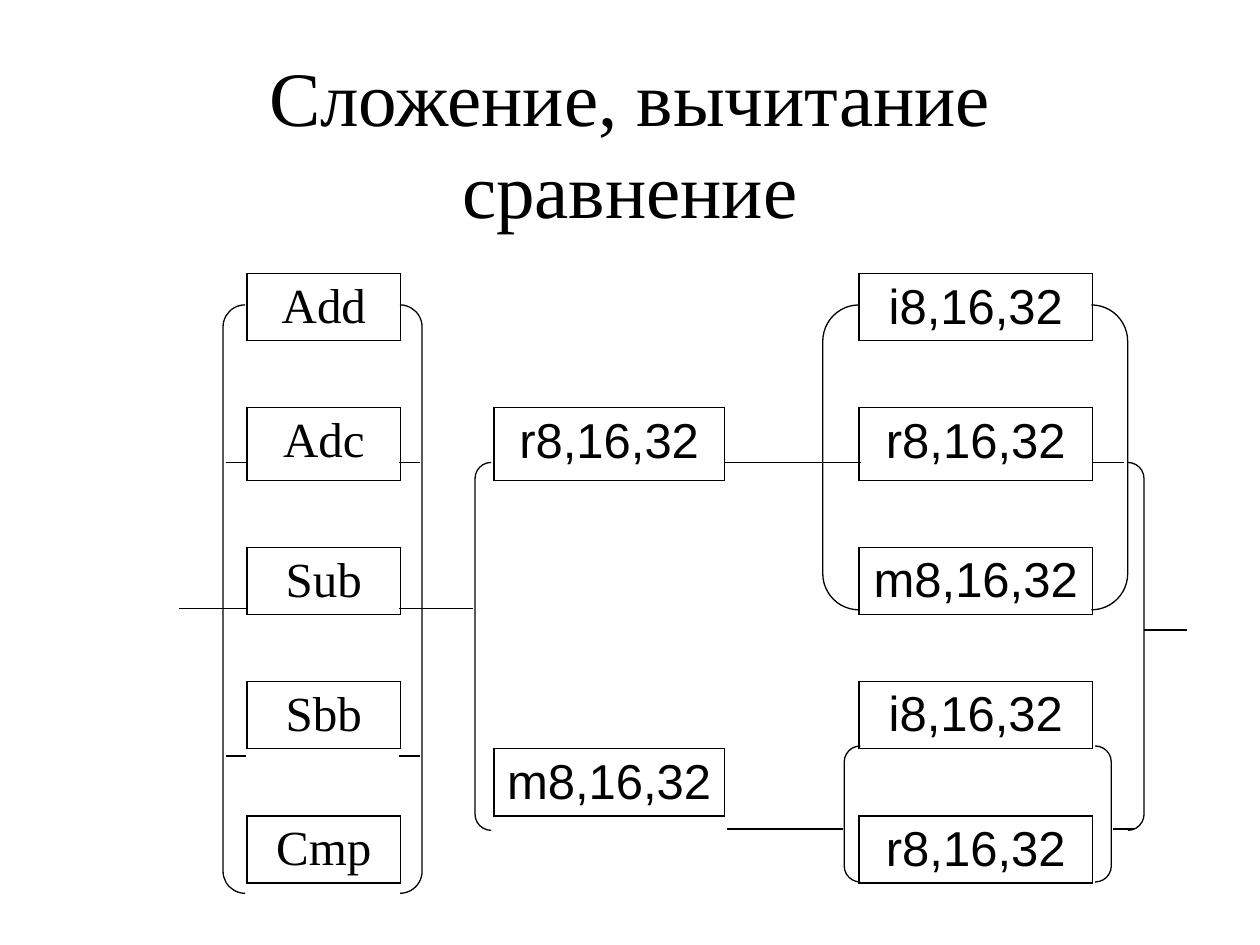
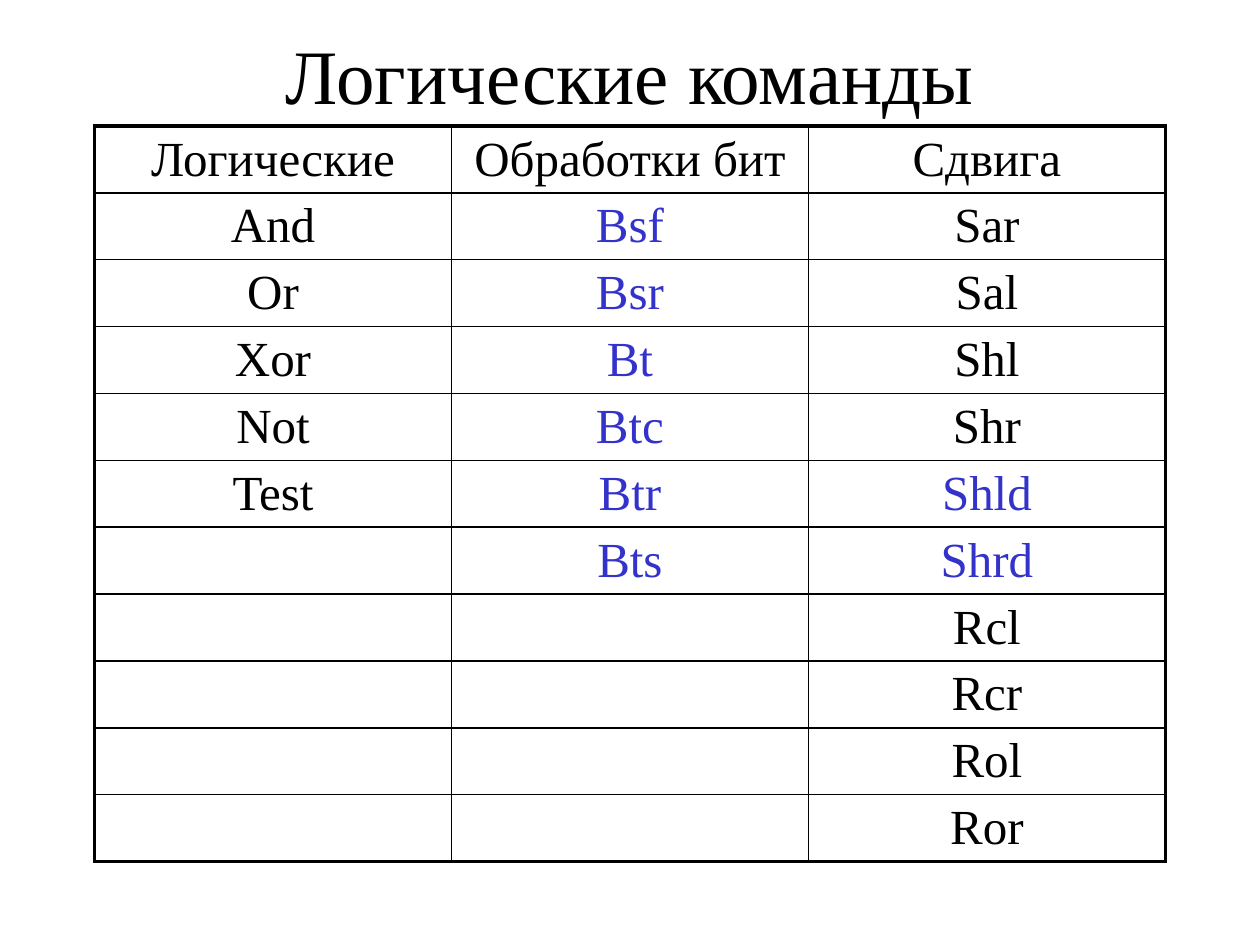
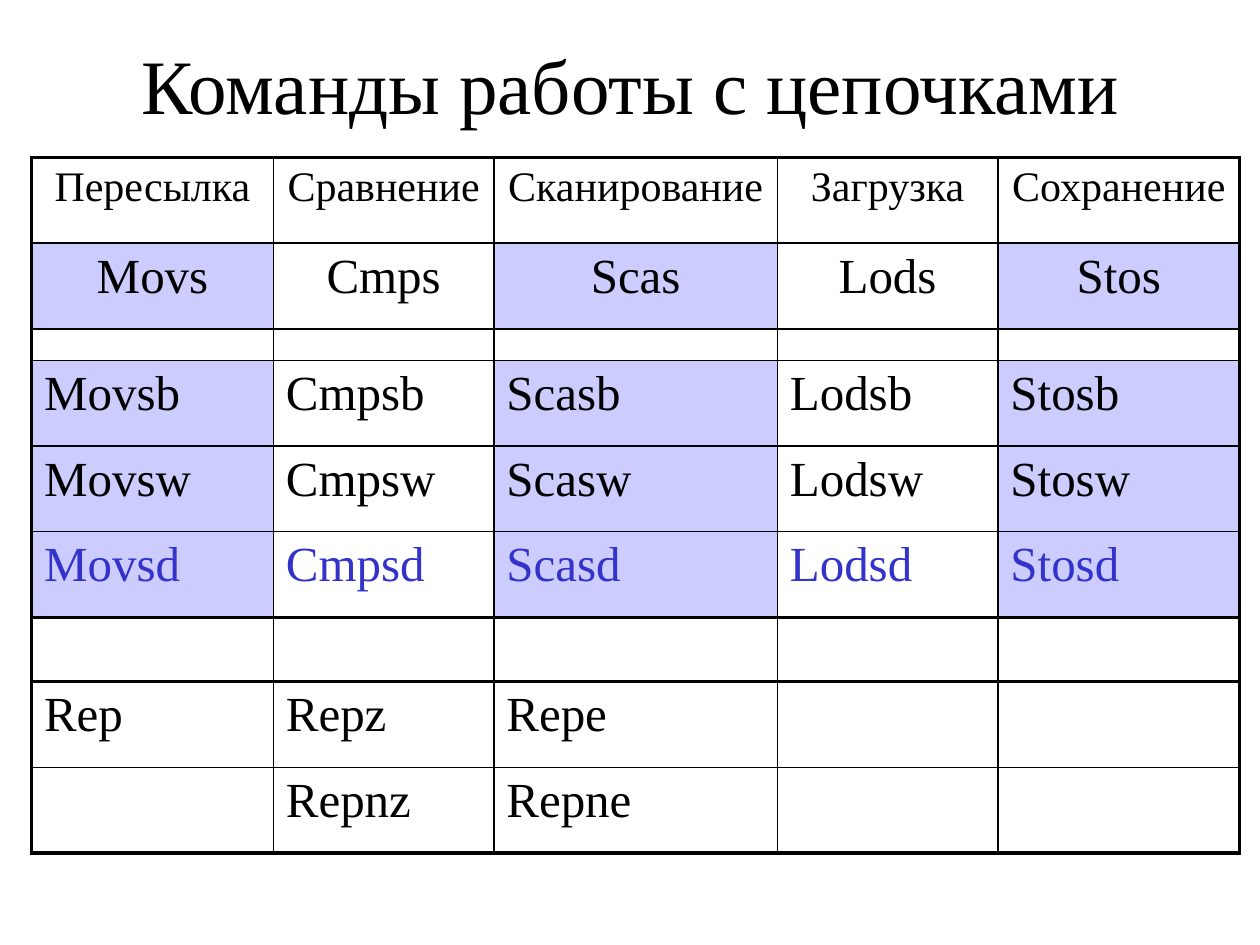
from lxml import etree
from pptx import Presentation
from pptx.dml.color import RGBColor
from pptx.enum import shapes, text
from pptx.oxml import ns
from pptx.util import Inches, Pt

COLORS = {"ink": "000000", "new": "3333CC", "band": "CCCCFF"}
SERIF, SANS = "Times New Roman", "Arial"
THIN, THICK = 1, 2.25
PLAIN_STYLE = "{2D5ABB26-0587-4C30-8999-92F81FD0307C}"

OPERATIONS = ["Add", "Adc", "Sub", "Sbb", "Cmp"]
SOURCES = ["i8,16,32", "r8,16,32", "m8,16,32", "i8,16,32", "r8,16,32"]
DESTINATIONS = {(2, 3): "r8,16,32", (7, 3): "m8,16,32"}

BRACKETS = [
    (1.77, 2.42, 1.58, 4.67, 0.111),
    (6.53, 2.42, 2.42, 2.42, 0.119),
    (6.7, 5.92, 2.12, 1.08, 0.119),
    (3.77, 3.67, 5.31, 2.92, 0.044),
]
WIRES = [
    (5.75, 6.83, 3.67), (5.77, 6.69, 6.58), (8.92, 8.67, 3.67),
    (9, 8.83, 6.58), (3.33, 3.75, 4.83), (1.42, 1.83, 4.83), (9.08, 9.42, 5),
]

LOGIC = [
    ["Логические", "Обработки бит", "Сдвига"],
    ["And", "Bsf", "Sar"],
    ["Or", "Bsr", "Sal"],
    ["Xor", "Bt", "Shl"],
    ["Not", "Btc", "Shr"],
    ["Test", "Btr", "Shld"],
    ["", "Bts", "Shrd"],
    ["", "", "Rcl"],
    ["", "", "Rcr"],
    ["", "", "Rol"],
    ["", "", "Ror"],
]
STRINGS = [
    ["Пересылка", "Сравнение", "Сканирование", "Загрузка", "Сохранение"],
    ["Movs", "Cmps", "Scas", "Lods", "Stos"],
    [""] * 5,
    ["Movsb", "Cmpsb", "Scasb", "Lodsb", "Stosb"],
    ["Movsw", "Cmpsw", "Scasw", "Lodsw", "Stosw"],
    ["Movsd", "Cmpsd", "Scasd", "Lodsd", "Stosd"],
    [""] * 5,
    ["Rep", "Repz", "Repe", "", ""],
    ["", "Repnz", "Repne", "", ""],
]


def rgb(name):
    return RGBColor.from_string(COLORS[name])


def style(paragraph, size, font=SERIF, color="ink", align=text.PP_ALIGN.CENTER):
    paragraph.alignment = align
    paragraph.font.size = Pt(size)
    paragraph.font.name = font
    paragraph.font.color.rgb = rgb(color)


def add_titled_slide(deck, heading, left, top, height):
    slide = deck.slides.add_slide(deck.slide_layouts[5])
    title = slide.shapes.title
    title.left, title.top = Inches(left), Inches(top)
    title.width, title.height = Inches(8.5), Inches(height)
    frame = title.text_frame
    frame.text = heading
    frame.word_wrap = True
    frame.auto_size = text.MSO_AUTO_SIZE.NONE
    frame.vertical_anchor = text.MSO_ANCHOR.MIDDLE
    style(frame.paragraphs[0], 44)
    return slide


def add_plain_table(slide, left, top, widths, heights):
    frame = slide.shapes.add_table(
        len(heights), len(widths), Inches(left), Inches(top),
        Inches(sum(widths)), Inches(sum(heights)))
    table = frame.table
    table.first_row = table.horz_banding = False
    table._tbl.tblPr.find(ns.qn("a:tableStyleId")).text = PLAIN_STYLE
    for column, width in zip(table.columns, widths):
        column.width = Inches(width)
    for row, height in zip(table.rows, heights):
        row.height = Inches(height)
    return table


def set_borders(cell, left, right, top, bottom):
    properties = cell._tc.get_or_add_tcPr()
    edges = {"a:lnL": left, "a:lnR": right, "a:lnT": top, "a:lnB": bottom}
    for tag, width in edges.items():
        line = etree.SubElement(properties, ns.qn(tag), w=str(Pt(width)))
        if width:
            fill = etree.SubElement(line, ns.qn("a:solidFill"))
            etree.SubElement(fill, ns.qn("a:srgbClr"), val=COLORS["ink"])
        else:
            etree.SubElement(line, ns.qn("a:noFill"))


def fill_cell(cell, label, band=False, **look):
    if label:
        cell.text_frame.text = label
        style(cell.text_frame.paragraphs[0], **look)
    else:
        blank = cell.text_frame.paragraphs[0]
        etree.SubElement(blank._p, ns.qn("a:endParaRPr"), sz="800")
    if band:
        cell.fill.solid()
        cell.fill.fore_color.rgb = rgb("band")
    else:
        cell.fill.background()


def fill_table(table, label_at, look_at, across, down):
    """Fill every cell; across and down give the widths of lines above and left of a cell."""
    for r in range(len(table.rows)):
        for c in range(len(table.columns)):
            cell = table.cell(r, c)
            set_borders(cell, down(r, c), down(r, c + 1), across(r, c), across(r + 1, c))
            fill_cell(cell, label_at(r, c), **look_at(r, c))


def fill_grid(table, labels, look_at, thick_rows):
    fill_table(
        table, lambda r, c: labels[r][c], look_at,
        lambda r, c: THICK if r in thick_rows else THIN,
        lambda r, c: THICK if c in (0, len(labels[0])) else THIN)


def draw_line(outline):
    outline.color.rgb = rgb("ink")
    outline.width = Pt(0.75)


def add_bracket(slide, left, top, width, height, curve):
    bracket = slide.shapes.add_shape(
        shapes.MSO_SHAPE.DOUBLE_BRACKET,
        Inches(left), Inches(top), Inches(width), Inches(height))
    bracket.adjustments[0] = curve
    bracket.shadow.inherit = False
    bracket.fill.background()
    draw_line(bracket.line)


def add_wire(slide, start, end, y):
    wire = slide.shapes.add_connector(
        shapes.MSO_CONNECTOR.STRAIGHT, Inches(start), Inches(y), Inches(end), Inches(y))
    draw_line(wire.line)
    etree.SubElement(wire._element.spPr, ns.qn("a:effectLst"))


def add_arithmetic_slide(deck):
    slide = add_titled_slide(deck, "Сложение, вычитание сравнение", 0.75, 0.5, 1.25)
    labels = dict(DESTINATIONS)
    for i, (operation, source) in enumerate(zip(OPERATIONS, SOURCES)):
        labels[2 * i, 1] = operation
        labels[2 * i, 5] = source
    heights = [0.53, 0.53, 0.58] + [0.53] * 6
    table = add_plain_table(
        slide, 0.75, 2.17, [1.21, 1.22, 0.74, 1.83, 1.07, 1.85, 0.58], heights)
    fill_table(
        table, lambda r, c: labels.get((r, c), ""),
        lambda r, c: {"size": 28, "font": SERIF if c == 1 else SANS},
        lambda r, c: THIN if (r, c) in labels or (r - 1, c) in labels else 0,
        lambda r, c: THIN if (r, c) in labels or (r, c - 1) in labels else 0)
    for bracket in BRACKETS:
        add_bracket(slide, *bracket)
    for wire in WIRES:
        add_wire(slide, *wire)
    for y in (3.67, 4.83, 6):
        for x in (1.79, 3.17):
            add_wire(slide, x, x + 0.16, y)


def add_logic_slide(deck):
    slide = add_titled_slide(deck, "Логические команды", 0.75, 0.25, 0.67)
    table = add_plain_table(slide, 0.75, 1, [8.5 / 3] * 3, [0.53] * len(LOGIC))

    def look_at(r, c):
        is_new = r > 0 and c == 1 or LOGIC[r][c] in ("Shld", "Shrd")
        return {"size": 28, "color": "new" if is_new else "ink"}

    fill_grid(table, LOGIC, look_at, (0, len(LOGIC)))


def add_strings_slide(deck):
    slide = add_titled_slide(deck, "Команды работы с цепочками ", 0.83, 0.33, 0.67)
    heights = [0.68, 0.68, 0.25, 0.68, 0.68, 0.68, 0.51, 0.68, 0.68]
    table = add_plain_table(slide, 0.25, 1.25, [1.92, 1.75, 2.25, 1.75, 1.92], heights)

    def look_at(r, c):
        return {
            "size": 24 if r == 0 else 28,
            "color": "new" if r == 5 else "ink",
            "align": text.PP_ALIGN.CENTER if r < 2 else text.PP_ALIGN.LEFT,
            "band": r in (1, 3, 4, 5) and c % 2 == 0,
        }

    fill_grid(table, STRINGS, look_at, (0, 6, 7, len(STRINGS)))


def main():
    deck = Presentation()
    deck.slide_width, deck.slide_height = Inches(10), Inches(7.5)
    add_arithmetic_slide(deck)
    add_logic_slide(deck)
    add_strings_slide(deck)
    deck.save("out.pptx")


if __name__ == "__main__":
    main()
